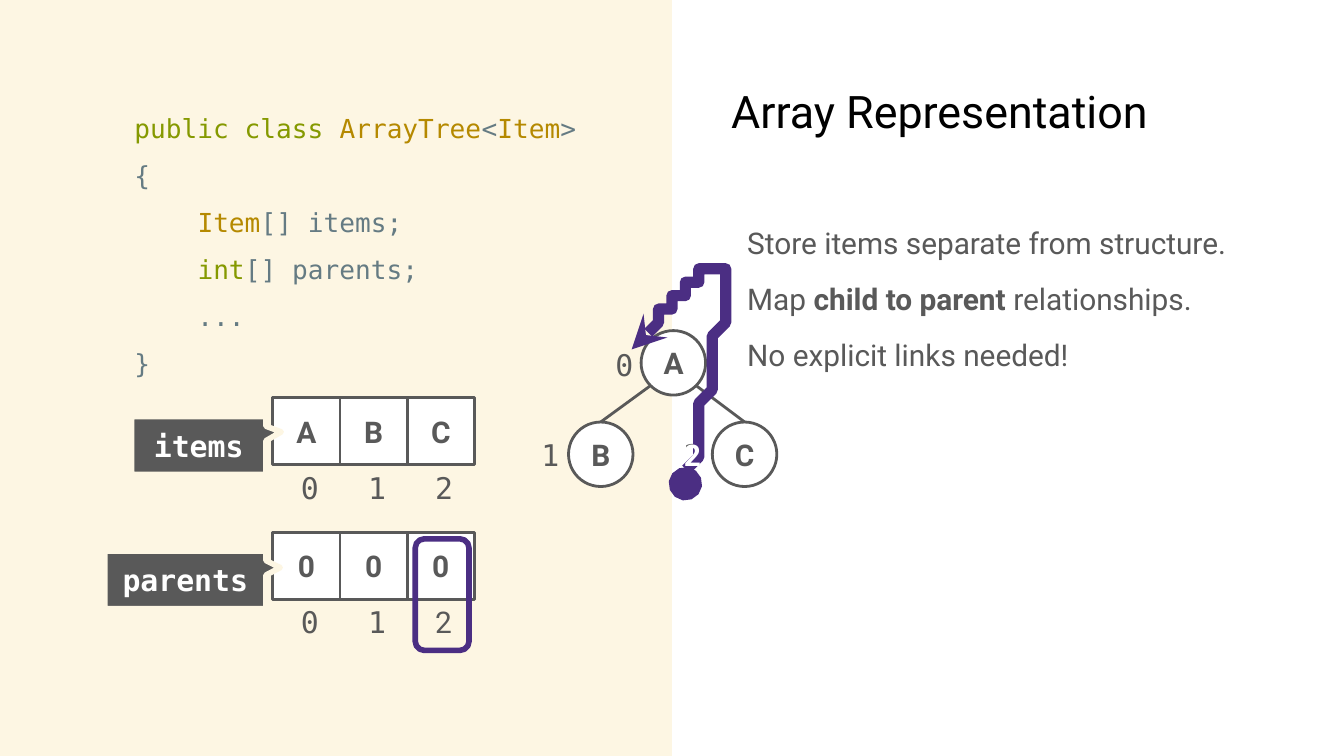
from copy import deepcopy
from dataclasses import dataclass

from lxml import etree
from pptx import Presentation
from pptx import util as u
from pptx.dml.color import RGBColor
from pptx.enum import shapes, text
from pptx.oxml import ns

COLUMNS, ROWS = 100, 56.25
UNIT = u.Inches(0.1)
CELL = 5
NODE = 4.8
MONO, SANS = "DejaVu Sans Mono", "Roboto"
CREAM, WHITE, GREY, PURPLE = "FDF6E3", "FFFFFF", "595959", "4B2E83"
KEYWORD, TYPE, PLAIN = "859900", "B58900", "657B83"


@dataclass(frozen=True)
class Box:
    left: float
    top: float
    width: float
    height: float

    def lengths(self) -> list[int]:
        return [round(n * UNIT) for n in (self.left, self.top, self.width, self.height)]


@dataclass(frozen=True)
class Style:
    size: float = 16
    font: str = SANS
    color: str = GREY
    bold: bool = False


@dataclass(frozen=True)
class ArrayRow:
    name: str
    values: str
    top: float
    label_left: float
    tip: tuple[float, float]
    index_fonts: tuple[str, str, str]


BOLD = Style(bold=True)
INDEX = Style(font=MONO)
ARRAYS = (
    ArrayRow("items", "ABC", 29.6, 9.8, (-0.613, -0.234), (MONO, MONO, MONO)),
    ArrayRow("parents", "000", 39.6, 7.8, (-0.588, -0.212), (MONO, MONO, SANS)),
)
CODE = (
    (("public class ", KEYWORD), ("ArrayTree", TYPE), ("<", PLAIN), ("Item", TYPE), ("> {", PLAIN)),
    (("    ", PLAIN), ("Item", TYPE), ("[] items;", PLAIN)),
    (("    ", PLAIN), ("int", KEYWORD), ("[] parents;", PLAIN)),
    (("    ...", PLAIN),),
    (("}", PLAIN),),
)
POINTS = (
    (("Store items separate from structure.", False),),
    (("Map ", False), ("child to parent", True), (" relationships.", False)),
    (("No explicit links needed!", False),),
)
CURVE = (
    ((51.3, 35.6), (51.7, 33), (54.5, 21.4), (53.8, 19.8)),
    ((53.8, 19.8), (53.1, 18.3), (48.2, 25.1), (47, 26.2)),
)


def rgb(color: str) -> RGBColor:
    return RGBColor.from_string(color)


def add_run(paragraph, content: str, style: Style):
    run = paragraph.add_run()
    run.text = content
    run.font.size = u.Pt(style.size)
    run.font.name = style.font
    run.font.bold = style.bold
    run.font.color.rgb = rgb(style.color)
    return run


def set_frame(shape, anchor=text.MSO_ANCHOR.MIDDLE):
    frame = shape.text_frame
    frame.word_wrap = True
    frame.auto_size = text.MSO_AUTO_SIZE.NONE
    frame.vertical_anchor = anchor
    frame.margin_left = frame.margin_right = UNIT
    frame.margin_top = frame.margin_bottom = UNIT
    return frame


def set_label(shape, content: str, style: Style) -> None:
    paragraph = set_frame(shape).paragraphs[0]
    paragraph.alignment = text.PP_ALIGN.CENTER
    add_run(paragraph, content, style)


def set_line(shape, color: str, width: float) -> None:
    shape.line.color.rgb = rgb(color)
    shape.line.width = u.Pt(width)


def add_figure(slide, preset, box: Box, fill: str | None, line: str | None, width: float = 1.5):
    shape = slide.shapes.add_shape(preset, *box.lengths())
    shape.shadow.inherit = False
    if fill:
        shape.fill.solid()
        shape.fill.fore_color.rgb = rgb(fill)
    else:
        shape.fill.background()
    if line:
        set_line(shape, line, width)
    else:
        shape.line.fill.background()
    return shape


def add_index(slide, left: float, top: float, content: str, style: Style = INDEX) -> None:
    set_label(slide.shapes.add_textbox(*Box(left, top, 3, 3.3).lengths()), content, style)


def place(placeholder, box: Box, anchor):
    placeholder.left, placeholder.top, placeholder.width, placeholder.height = box.lengths()
    return set_frame(placeholder, anchor)


def format_paragraph(paragraph, spacing: float, before: float = 0, after: float = 0) -> None:
    properties = paragraph._p.get_or_add_pPr()
    properties.set("marL", "0")
    properties.set("indent", "0")
    etree.SubElement(properties, ns.qn("a:buNone"))
    paragraph.alignment = text.PP_ALIGN.LEFT
    paragraph.line_spacing = spacing
    paragraph.space_before = u.Pt(before)
    paragraph.space_after = u.Pt(after)


def write_texts(slide) -> None:
    title, code, points = slide.placeholders
    paragraph = place(title, Box(53.4, 4.9, 43.2, 6.3), text.MSO_ANCHOR.BOTTOM).paragraphs[0]
    format_paragraph(paragraph, 1)
    add_run(paragraph, "Array Representation", Style(24, color="000000"))

    paragraph = place(code, Box(9, 6.2, 37, 19.6), text.MSO_ANCHOR.TOP).paragraphs[0]
    format_paragraph(paragraph, 1.5, after=8)
    for number, line in enumerate(CODE):
        if number:
            paragraph.add_line_break()
            paragraph._p[-1].append(deepcopy(run._r.rPr))
        for content, color in line:
            run = add_run(paragraph, content, Style(14, MONO, color))

    frame = place(points, Box(54.6, 15.3, 42, 13.5), text.MSO_ANCHOR.TOP)
    for number, runs in enumerate(POINTS):
        paragraph = frame.add_paragraph() if number else frame.paragraphs[0]
        last = number == len(POINTS) - 1
        format_paragraph(paragraph, 1.15, before=8 if number else 0, after=8 if last else 0)
        for content, bold in runs:
            add_run(paragraph, content, Style(bold=bold))


def draw_array(slide, row: ArrayRow) -> None:
    for number, (value, font) in enumerate(zip(row.values, row.index_fonts)):
        left = 20.3 + number * CELL
        cell = add_figure(slide, shapes.MSO_SHAPE.RECTANGLE, Box(left, row.top, CELL, CELL), WHITE, GREY)
        set_label(cell, value, BOLD)
        add_index(slide, left + 1.1, row.top + CELL, str(number), Style(font=font))
    box = Box(row.label_left, row.top + 1.4, 19.8 - row.label_left, 4.3)
    callout = add_figure(slide, shapes.MSO_SHAPE.ROUNDED_RECTANGULAR_CALLOUT, box, GREY, CREAM, 3)
    for number, value in enumerate((*row.tip, 0)):
        callout.adjustments[number] = value
    callout._element.spPr.xfrm.set("flipH", "1")
    set_label(callout, row.name, Style(font=MONO, color=WHITE, bold=True))


def draw_node(slide, name: str, left: float, top: float):
    node = add_figure(slide, shapes.MSO_SHAPE.OVAL, Box(left, top, NODE, NODE), WHITE, GREY)
    set_label(node, name, BOLD)
    return node


def draw_tree(slide) -> None:
    draw_node(slide, "A", 47.7, 24.6)
    for name, left, joint in (("B", 42.3, 48.4), ("C", 53, 51.8)):
        child = draw_node(slide, name, left, 31.4)
        ends = Box(left + NODE / 2, 31.4, joint, 28.7).lengths()
        edge = slide.shapes.add_connector(shapes.MSO_CONNECTOR.STRAIGHT, *ends)
        edge.begin_connect(child, 0)
        set_line(edge, GREY, 1.5)
        etree.SubElement(edge._element.spPr, ns.qn("a:effectLst"))
    for number, (left, top) in enumerate(((44.8, 25.5), (39.3, 32.2), (49.9, 32.2))):
        add_index(slide, left, top, str(number))


def bezier(controls, share: float) -> tuple[float, float]:
    rest = 1 - share
    weights = (rest**3, 3 * rest**2 * share, 3 * rest * share**2, share**3)
    return tuple(sum(w * p[axis] for w, p in zip(weights, controls)) for axis in (0, 1))


def draw_parent_arrow(slide, steps: int = 24) -> None:
    builder = slide.shapes.build_freeform(*CURVE[0][0], scale=UNIT)
    builder.add_line_segments(
        [bezier(part, step / steps) for part in CURVE for step in range(1, steps + 1)], close=False
    )
    arrow = builder.convert_to_shape()
    arrow.shadow.inherit = False
    arrow.fill.background()
    set_line(arrow, PURPLE, 6)
    line = arrow.line._get_or_add_ln()
    etree.SubElement(line, ns.qn("a:round"))
    for end, kind in (("headEnd", "oval"), ("tailEnd", "stealth")):
        etree.SubElement(line, ns.qn(f"a:{end}"), type=kind, w="med", len="med")
    add_index(slide, 49.9, 32.2, "2", Style(color=WHITE, bold=True))


def main() -> None:
    presentation = Presentation()
    presentation.slide_width = COLUMNS * UNIT
    presentation.slide_height = round(ROWS * UNIT)
    slide = presentation.slides.add_slide(presentation.slide_layouts[3])
    panel = add_figure(slide, shapes.MSO_SHAPE.RECTANGLE, Box(0, 0, COLUMNS / 2, ROWS), CREAM, None)
    slide.shapes._spTree.insert(2, panel._element)
    write_texts(slide)
    for row in ARRAYS:
        draw_array(slide, row)
    draw_tree(slide)
    draw_parent_arrow(slide)
    add_figure(slide, shapes.MSO_SHAPE.ROUNDED_RECTANGLE, Box(30.9, 40.1, 4, 8.3), None, PURPLE, 3)
    presentation.save("out.pptx")


if __name__ == "__main__":
    main()
